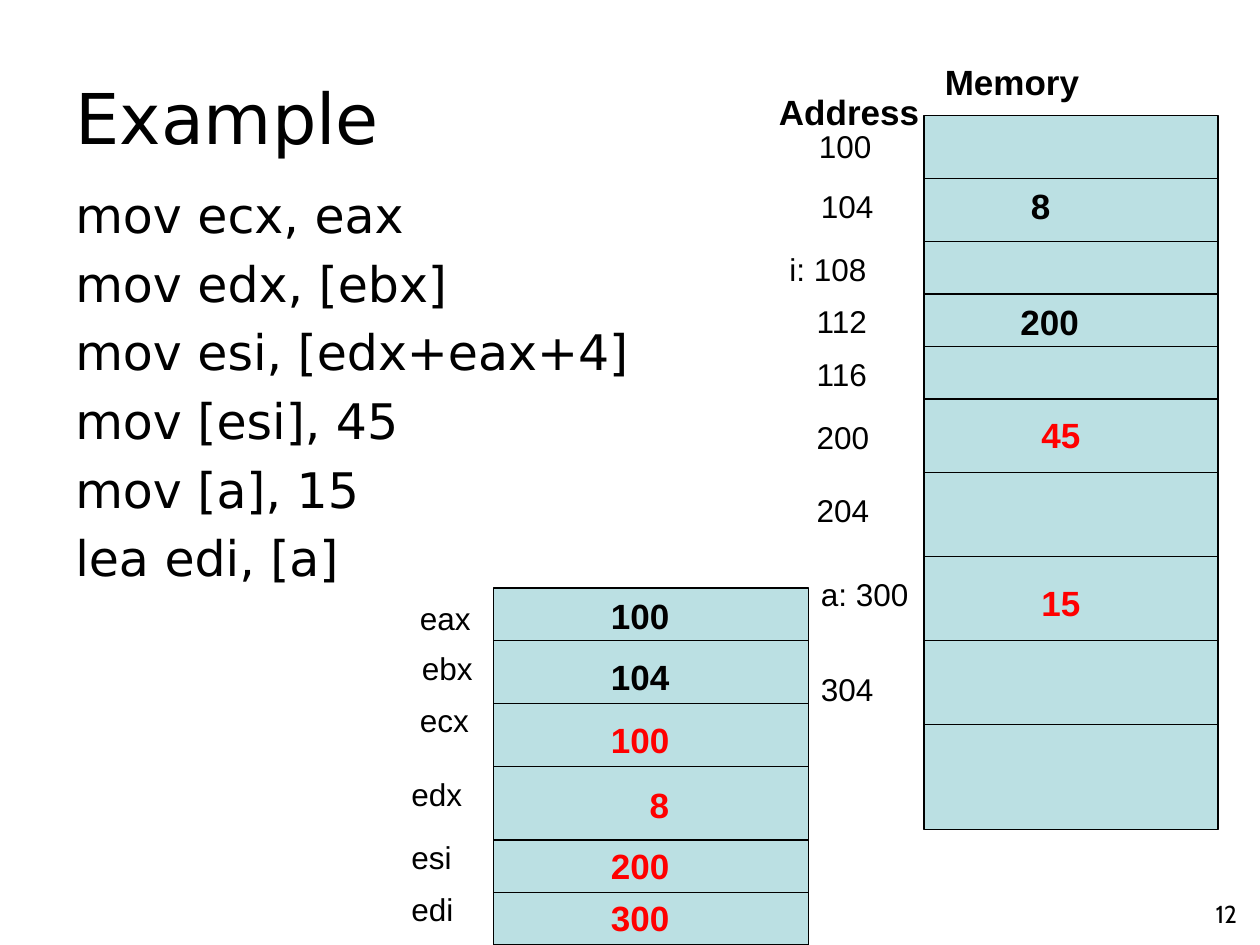
from pptx import Presentation
from pptx.dml.color import RGBColor
from pptx.enum.shapes import MSO_CONNECTOR as Connector, MSO_SHAPE as Shape
from pptx.enum.text import MSO_ANCHOR as Anchor, MSO_AUTO_SIZE as AutoSize, PP_ALIGN as Align
from pptx.oxml.ns import qn
from pptx.util import Inches, Pt
from lxml.etree import SubElement

BLACK = RGBColor(0x00, 0x00, 0x00)
RED = RGBColor(0xFF, 0x00, 0x00)
PALE_TEAL = RGBColor(0xBB, 0xE0, 0xE3)

SLIDE_WIDTH, SLIDE_HEIGHT = Inches(10), Inches(7.5)
COLUMNS, ROWS = 120, 90
LINE_WIDTH = Pt(0.75)
LABEL_HEIGHT, VALUE_HEIGHT = 4.8, 5.2

INSTRUCTIONS = [
    "mov ecx, eax",
    "mov edx, [ebx]",
    "mov esi, [edx+eax+4]",
    "mov [esi], 45",
    "mov [a], 15",
    "lea edi, [a]",
]

MEMORY_EDGES = [11, 17, 23, 28, 33, 38, 45, 53, 61, 69, 79]
REGISTER_EDGES = [56, 61, 67, 73, 80, 85, 90]

LABELS = [
    ("100", 76.8, 11.5, 7.5),
    ("104", 77, 17.2, 7.5),
    ("i: 108", 74, 23.2, 9.8),
    ("112", 76.6, 28.2, 7.5),
    ("116", 76.6, 33.2, 7.5),
    ("200", 76.6, 39.2, 7.5),
    ("204", 76.6, 46.2, 7.5),
    ("a: 300", 77, 54.2, 10.9),
    ("304", 77, 63.2, 7.5),
    ("eax", 38.8, 56.5, 7.3),
    ("ebx", 39, 61.2, 7.3),
    ("ecx", 38.8, 66.2, 7.2),
    ("edx", 38, 73.2, 7.3),
    ("esi", 38, 79.2, 6.3),
    ("edi", 38, 84.2, 6.5),
]

HEADINGS = [("Memory", 88.8, 5.2, 15.4), ("Address", 73, 8, 16.2)]

VALUES = [
    ("8", 97, 17, BLACK),
    ("200", 96, 28, BLACK),
    ("45", 98, 38.8, RED),
    ("15", 98, 54.8, RED),
    ("100", 57, 56, BLACK),
    ("104", 57, 61.8, BLACK),
    ("100", 57, 67.8, RED),
    ("8", 60.7, 74, RED),
    ("200", 57, 79.8, RED),
    ("300", 57, 84.8, RED),
]


def across(columns):
    return round(SLIDE_WIDTH * columns / COLUMNS)


def down(rows):
    return round(SLIDE_HEIGHT * rows / ROWS)


def place(left, top, width, height):
    return across(left), down(top), across(width), down(height)


def write(frame, text, *, size, font="Arial", color=BLACK, bold=False,
          align=Align.LEFT, anchor=Anchor.TOP, wrap=False, before=0):
    frame.auto_size = AutoSize.NONE if wrap else AutoSize.SHAPE_TO_FIT_TEXT
    frame.word_wrap = wrap
    frame.vertical_anchor = anchor
    for index, line in enumerate(text.split("\n")):
        para = frame.add_paragraph() if index else frame.paragraphs[0]
        para.alignment = align
        para.space_before = Pt(before)
        span = para.add_run()
        span.text = line
        span.font.name = font
        span.font.size = Pt(size)
        span.font.bold = bold
        span.font.color.rgb = color


def add_text(page, text, area, **text_format):
    box = page.shapes.add_textbox(*place(*area))
    write(box.text_frame, text, **text_format)


def add_divider(page, left, right, row):
    line = page.shapes.add_connector(
        Connector.STRAIGHT, across(left), down(row), across(right), down(row))
    line.line.color.rgb = BLACK
    line.line.width = LINE_WIDTH
    SubElement(line._element.spPr, qn("a:effectLst"))


def add_cell_stack(page, left, width, edges):
    top, *dividers, bottom = edges
    stack = page.shapes.add_shape(
        Shape.RECTANGLE, *place(left, top, width, bottom - top))
    stack.shadow.inherit = False
    stack.fill.solid()
    stack.fill.fore_color.rgb = PALE_TEAL
    stack.line.color.rgb = BLACK
    stack.line.width = LINE_WIDTH
    for row in dividers:
        add_divider(page, left, left + width, row)


def add_title(page, text):
    title = page.shapes.title
    title.left, title.top, title.width, title.height = place(6, 3.6, 108, 15)
    write(title.text_frame, text, size=40, font="DejaVu Sans",
          anchor=Anchor.MIDDLE, wrap=True)


def main():
    deck = Presentation()
    deck.slide_width, deck.slide_height = SLIDE_WIDTH, SLIDE_HEIGHT
    page = deck.slides.add_slide(deck.slide_layouts.get_by_name("Title Only"))

    add_title(page, "Example")
    add_text(page, "\n".join(INSTRUCTIONS), (6, 17, 108, 63.4), size=28,
             font="DejaVu Sans", align=Align.JUSTIFY, wrap=True, before=5.6)

    add_cell_stack(page, 88, 28, MEMORY_EDGES)
    add_cell_stack(page, 47, 30, REGISTER_EDGES)

    for text, left, top, width in HEADINGS:
        add_text(page, text, (left, top, width, VALUE_HEIGHT), size=20, bold=True)
    for text, left, top, width in LABELS:
        add_text(page, text, (left, top, width, LABEL_HEIGHT), size=18)
    for text, left, top, color in VALUES:
        width = 2.4 + 1.85 * len(text)
        add_text(page, text, (left, top, width, VALUE_HEIGHT), size=20,
                 bold=True, color=color)

    add_text(page, "12", (94, 85, 25, 4.4), size=14, font="Cabin",
             align=Align.RIGHT, wrap=True)
    deck.save("out.pptx")


if __name__ == "__main__":
    main()
